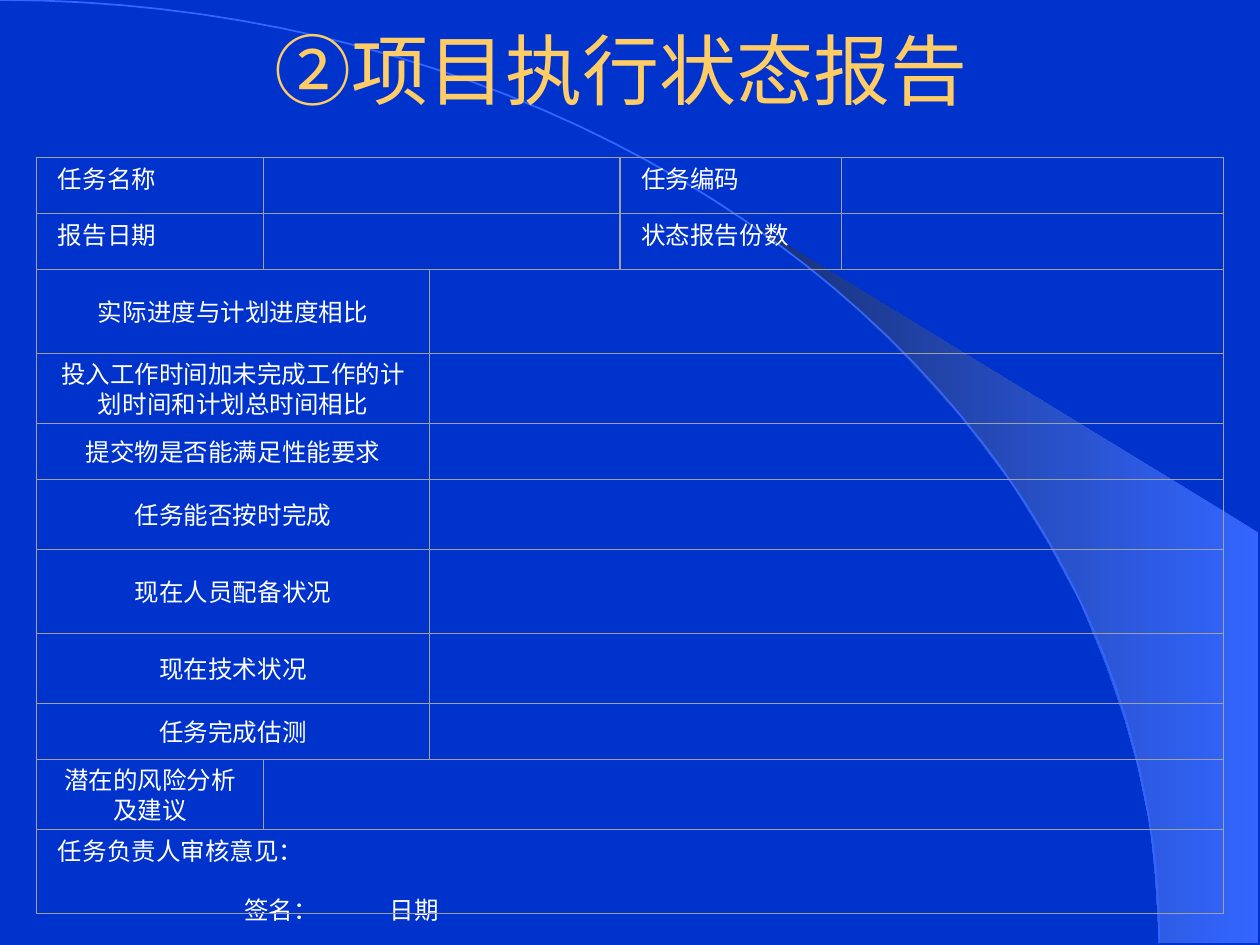
import math
from dataclasses import dataclass

from lxml import etree
from pptx import Presentation
from pptx.dml.color import RGBColor
from pptx.enum import shapes, text
from pptx.oxml import ns
from pptx.util import Cm, Pt


@dataclass(frozen=True)
class Theme:
    """Colours, typeface and type sizes of the deck."""
    ground: str = "0033CC"
    beam: str = "3366FF"
    beam_dark: str = "172F75"
    rule: str = "A0A0A0"
    heading: str = "FFCC66"
    ink: str = "FFFFFF"
    face: str = "Times New Roman"
    heading_size: int = 44
    label_size: int = 14


THEME = Theme()
CENTRED = (text.PP_ALIGN.CENTER, text.MSO_ANCHOR.MIDDLE)
JUSTIFIED = (text.PP_ALIGN.JUSTIFY, text.MSO_ANCHOR.TOP)
COLUMNS = [0, 4.57, 7.92, 11.76, 16.23, 23.92]
REPORT_ROWS = [
    (4, JUSTIFIED, [(0, 1, "任务名称"), (1, 3, ""), (3, 4, "任务编码"), (4, 5, "")]),
    (4, JUSTIFIED, [(0, 1, "报告日期"), (1, 3, ""), (3, 4, "状态报告份数"), (4, 5, "")]),
    *((units, CENTRED, [(0, 2, label), (2, 5, "")]) for units, label in [
        (6, "实际进度与计划进度相比"),
        (5, "投入工作时间加未完成工作的计划时间和计划总时间相比"),
        (4, "提交物是否能满足性能要求"),
        (5, "任务能否按时完成"),
        (6, "现在人员配备状况"),
        (5, "现在技术状况"),
        (4, "任务完成估测"),
    ]),
    (5, CENTRED, [(0, 1, "潜在的风险分析及建议"), (1, 5, "")]),
    (6, JUSTIFIED, [(0, 5, "任务负责人审核意见：\n\t签名：\t日期")]),
]
SIGNATURE_TABS = [3.75, 6.69]
BEAM_OUTLINE = [
    (8.41, 14.61), (10.41, 14.63), (10.41, 6.35), (0, 0), (0.89, 0.66),
    (1.63, 1.24), (2.44, 1.96), (3.23, 2.72), (4.39, 3.99), (5.44, 5.36),
    (6.17, 6.55), (6.83, 7.77), (7.34, 9.02), (7.72, 10.13), (7.98, 11.07),
    (8.23, 12.27), (8.33, 13.28),
]


def colour(value):
    """Turn a hex string into a colour."""
    return RGBColor.from_string(value)


def apply(target, values):
    """Set each named attribute on the target."""
    for name, value in values.items():
        setattr(target, name, value)


def format_font(font, size, ink):
    """Give a font the theme typeface, a size and a colour."""
    apply(font, {"name": THEME.face, "size": Pt(size)})
    font.color.rgb = colour(ink)


def format_frame(frame, anchor):
    """Give a text frame its margins, wrapping and anchor."""
    apply(frame, {"margin_left": Cm(0.25), "margin_right": Cm(0.25),
                  "margin_top": Cm(0.13), "margin_bottom": Cm(0.13),
                  "word_wrap": True, "auto_size": text.MSO_AUTO_SIZE.NONE,
                  "vertical_anchor": anchor})


def outline(shape, line_colour, width):
    """Outline a shape without a shadow."""
    shape.shadow.inherit = False
    shape.line.color.rgb = colour(line_colour)
    shape.line.width = Pt(width)


def add_outline(slide, points, left, top, close):
    """Draw a freeform through points given relative to a corner."""
    placed = [(Cm(left + x), Cm(top + y)) for x, y in points]
    builder = slide.shapes.build_freeform(*placed[0])
    builder.add_line_segments(placed[1:], close=close)
    return builder.convert_to_shape()


def add_backdrop(slide, left, top, width, height):
    """Draw the light beam and the quarter arc."""
    slide.background.fill.solid()
    slide.background.fill.fore_color.rgb = colour(THEME.ground)
    beam = add_outline(slide, BEAM_OUTLINE, left + 14.96, top + 4.39, True)
    beam.shadow.inherit = False
    beam.line.fill.background()
    beam.fill.gradient()
    beam.fill.gradient_angle = 180
    for stop, shade in zip(beam.fill.gradient_stops, (THEME.beam, THEME.beam_dark)):
        stop.color.rgb = colour(shade)
    angles = [math.radians(degree) for degree in range(0, 91, 2)]
    arc_points = [(width * math.sin(a), height * (1 - math.cos(a))) for a in angles]
    arc = add_outline(slide, arc_points, left, top, False)
    arc.fill.background()
    outline(arc, THEME.beam, 1)


def add_heading(slide, left, top, width, height):
    """Place the title placeholder in front of the backdrop."""
    heading = slide.shapes.title
    slide.shapes._spTree.append(heading._element)
    apply(heading, {"left": Cm(left), "top": Cm(top),
                    "width": Cm(width), "height": Cm(height)})
    format_frame(heading.text_frame, text.MSO_ANCHOR.MIDDLE)
    heading.text_frame.text = "②项目执行状态报告 "
    paragraph = heading.text_frame.paragraphs[0]
    paragraph.alignment = text.PP_ALIGN.CENTER
    format_font(paragraph.runs[0].font, THEME.heading_size, THEME.heading)


def add_box(slide, left, top, width, height, line_width=0):
    """Draw one unfilled ruled box."""
    box = slide.shapes.add_shape(shapes.MSO_SHAPE.RECTANGLE, Cm(left), Cm(top),
                                 Cm(width), Cm(height))
    box.fill.background()
    outline(box, THEME.rule, line_width)


def add_label(slide, left, top, width, height, label, layout):
    """Write a label inside a cell, with tab stops where it needs them."""
    alignment, anchor = layout
    inset = 0.18
    frame = slide.shapes.add_textbox(Cm(left + inset), Cm(top),
                                     Cm(width - 2 * inset), Cm(height)).text_frame
    format_frame(frame, anchor)
    frame.text = label
    for index, paragraph in enumerate(frame.paragraphs):
        paragraph.alignment = alignment
        if index:
            paragraph.space_before = Pt(16.6)
        if "\t" in paragraph.text:
            stops = etree.SubElement(paragraph._p.get_or_add_pPr(), ns.qn("a:tabLst"))
            for position in SIGNATURE_TABS:
                etree.SubElement(stops, ns.qn("a:tab"), pos=str(Cm(position)), algn="l")
        for run in paragraph.runs:
            format_font(run.font, THEME.label_size, THEME.ink)


def add_report_form(slide, left, top, width, height):
    """Lay out the report rows inside a ruled frame."""
    unit = height / sum(units for units, _, _ in REPORT_ROWS)
    row_top = top
    for units, layout, cells in REPORT_ROWS:
        for first, last, label in cells:
            cell = (left + COLUMNS[first], row_top,
                    COLUMNS[last] - COLUMNS[first], units * unit)
            if label:
                add_label(slide, *cell, label, layout)
            add_box(slide, *cell)
        row_top += units * unit
    add_box(slide, left, top, width, height, 0.75)


def main():
    """Build the status report slide."""
    deck = Presentation()
    apply(deck, {"slide_width": Cm(25.4), "slide_height": Cm(19.05)})
    slide = deck.slides.add_slide(deck.slide_layouts[5])
    add_backdrop(slide, 0, 0, 23.37, 19.02)
    add_heading(slide, 1.91, -0.2, 21.59, 3.18)
    add_report_form(slide, 0.74, 3.18, COLUMNS[-1], 15.24)
    deck.save("out.pptx")


if __name__ == "__main__":
    main()
